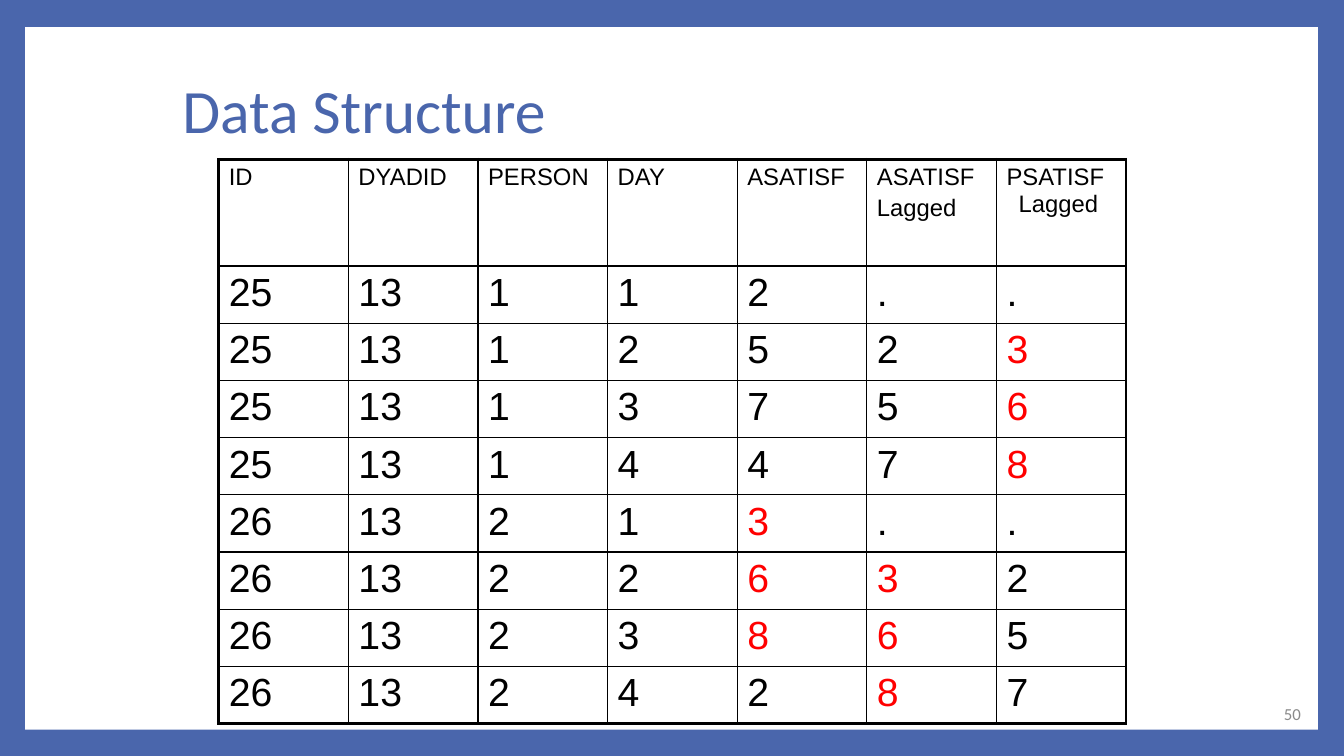
from lxml import etree
from pptx import Presentation
from pptx.dml.color import RGBColor
from pptx.enum.shapes import MSO_SHAPE
from pptx.enum.text import MSO_ANCHOR, PP_ALIGN
from pptx.oxml.ns import qn
from pptx.util import Inches, Pt

TITLE = "Data Structure"
PAGE_NUMBER = "50"
HEADERS = ["ID", "DYADID", "PERSON", "DAY", "ASATISF", "ASATISF\nLagged", "PSATISF Lagged"]
RECORDS = [
    ("25", "13", "1", "1", "2", ".", "."),
    ("25", "13", "1", "2", "5", "2", "3"),
    ("25", "13", "1", "3", "7", "5", "6"),
    ("25", "13", "1", "4", "4", "7", "8"),
    ("26", "13", "2", "1", "3", ".", "."),
    ("26", "13", "2", "2", "6", "3", "2"),
    ("26", "13", "2", "3", "8", "6", "5"),
    ("26", "13", "2", "4", "2", "8", "7"),
]
RED_CELLS = {(2, 6), (3, 6), (4, 6), (5, 4), (6, 4), (6, 5), (7, 4), (7, 5), (8, 5)}

BLUE, WHITE, BLACK, RED, GRAY = "4A66AC", "FFFFFF", "000000", "FF0000", "898989"
TABLE_LEFT, TABLE_TOP, TABLE_WIDTH, TABLE_HEIGHT = 2.17, 1.58, 9, 5.6
HEADER_HEIGHT = 1.06
HANGING_INDENT = 0.12
OUTER_LINE, INNER_LINE = 2.25, 1

TITLE_FORMAT = {"size": Pt(44), "name": "Calibri"}
NUMBER_FORMAT = {"size": Pt(12), "name": "Calibri"}
HEADER_FORMAT = {"size": Pt(17), "name": "Arial", "bold": False}
VALUE_FORMAT = {"size": Pt(28), "name": "Arial", "bold": False}


def color(hex_value):
    return RGBColor.from_string(hex_value)


def write(paragraph, text, font_format, hex_value):
    run = paragraph.add_run()
    run.text = text
    for name, value in font_format.items():
        setattr(run.font, name, value)
    run.font.color.rgb = color(hex_value)


def add_text(slide, box, text, font_format, hex_value, paragraph_format):
    shape = slide.shapes.add_textbox(*map(Inches, box))
    frame = shape.text_frame
    frame.word_wrap = True
    frame.vertical_anchor = MSO_ANCHOR.MIDDLE
    paragraph = frame.paragraphs[0]
    for name, value in paragraph_format.items():
        setattr(paragraph, name, value)
    write(paragraph, text, font_format, hex_value)


def set_borders(cell, widths):
    properties = cell._tc.get_or_add_tcPr()
    for position, (side, width) in enumerate(widths.items()):
        line = etree.Element(qn(f"a:ln{side}"), w=str(Pt(width)))
        fill = etree.SubElement(line, qn("a:solidFill"))
        etree.SubElement(fill, qn("a:srgbClr"), val=BLACK)
        properties.insert(position, line)


def fill_cell(cell, text, font_format, hex_value):
    cell.fill.background()
    frame = cell.text_frame
    for index, line in enumerate(text.split("\n")):
        paragraph = frame.add_paragraph() if index else frame.paragraphs[0]
        if index:
            paragraph.space_before = Pt(3)
        properties = paragraph._p.get_or_add_pPr()
        properties.set("marL", str(Inches(HANGING_INDENT)))
        properties.set("indent", str(-Inches(HANGING_INDENT)))
        write(paragraph, line, font_format, hex_value)


def add_data_table(slide):
    rows = [HEADERS, *RECORDS]
    last_row, last_column = len(RECORDS), len(HEADERS) - 1
    box = map(Inches, (TABLE_LEFT, TABLE_TOP, TABLE_WIDTH, TABLE_HEIGHT))
    table = slide.shapes.add_table(len(rows), len(HEADERS), *box).table
    table.first_row = table.horz_banding = False
    for column in table.columns:
        column.width = Inches(TABLE_WIDTH / len(HEADERS))
    for row in table.rows:
        row.height = Inches((TABLE_HEIGHT - HEADER_HEIGHT) / len(RECORDS))
    table.rows[0].height = Inches(HEADER_HEIGHT)

    for r, texts in enumerate(rows):
        for c, text in enumerate(texts):
            cell = table.cell(r, c)
            font_format = VALUE_FORMAT if r else HEADER_FORMAT
            fill_cell(cell, text, font_format, RED if (r, c) in RED_CELLS else BLACK)
            on_edge = {"L": c == 0, "R": c == last_column, "T": r == 0, "B": r == last_row}
            set_borders(cell, {side: OUTER_LINE if edge else INNER_LINE
                               for side, edge in on_edge.items()})


def main():
    presentation = Presentation()
    presentation.slide_width = Inches(13.33)
    presentation.slide_height = Inches(7.5)
    slide = presentation.slides.add_slide(presentation.slide_layouts[6])
    slide.background.fill.solid()
    slide.background.fill.fore_color.rgb = color(BLUE)

    panel = slide.shapes.add_shape(MSO_SHAPE.RECTANGLE, *map(Inches, (0.25, 0.27, 12.82, 6.97)))
    panel.shadow.inherit = False
    panel.fill.solid()
    panel.fill.fore_color.rgb = color(WHITE)
    panel.line.fill.background()

    add_text(slide, (1.71, 0.5, 11.33, 1.25), TITLE, TITLE_FORMAT, BLUE, {"line_spacing": 0.9})
    add_data_table(slide)
    add_text(slide, (10.22, 6.83, 2.78, 0.5), PAGE_NUMBER, NUMBER_FORMAT, GRAY,
             {"alignment": PP_ALIGN.RIGHT})
    presentation.save("out.pptx")


if __name__ == "__main__":
    main()
